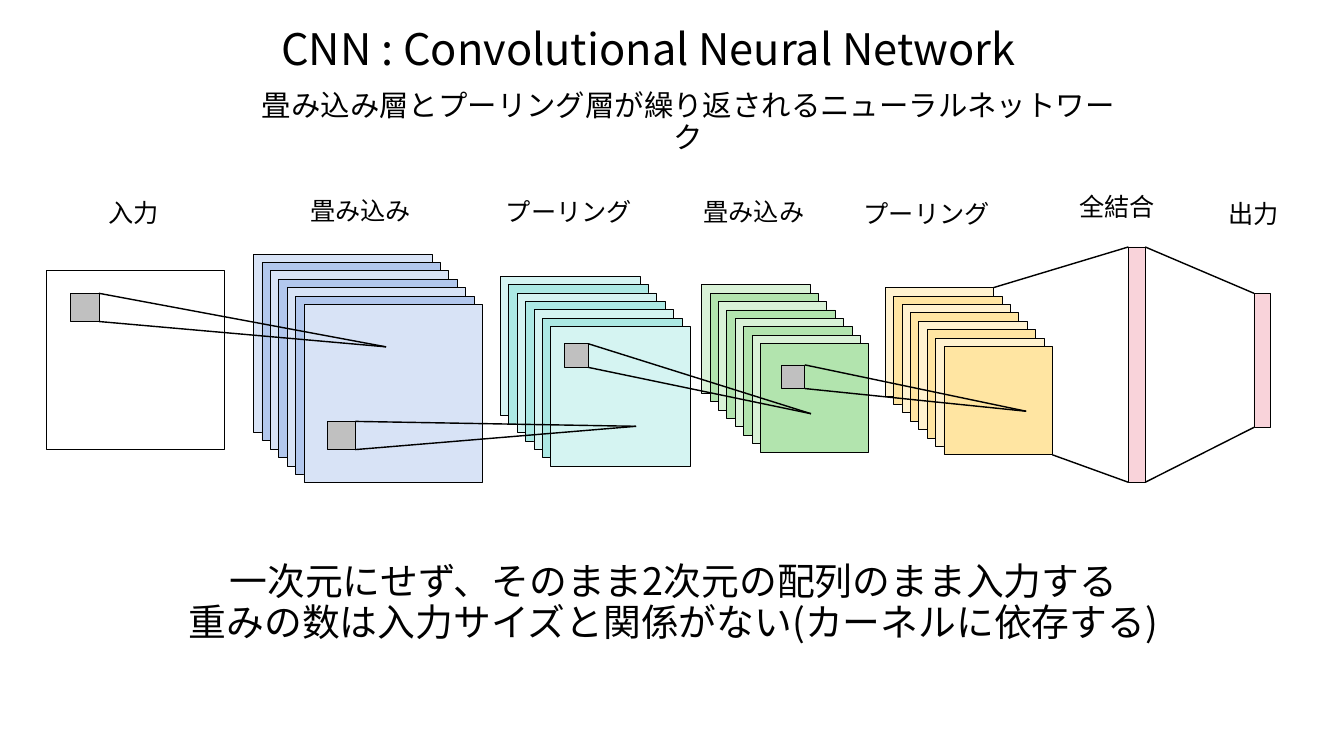
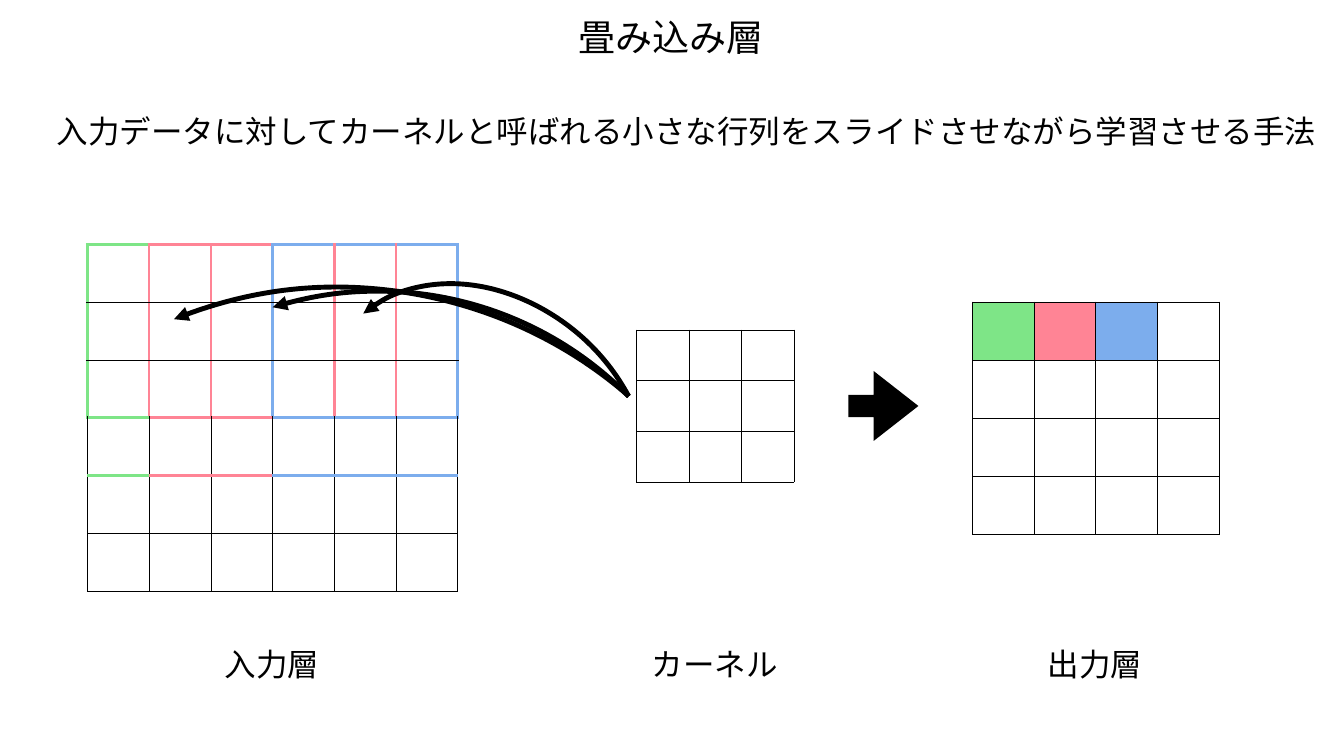
"""Two slides on convolutional neural networks: the layer diagram and the kernel."""
from dataclasses import dataclass

from lxml import etree
from pptx import Presentation
from pptx import util as u
from pptx.dml.color import RGBColor
from pptx.enum import shapes, text
from pptx.oxml.ns import qn


@dataclass(frozen=True)
class Theme:
    """Colours, font and type sizes shared by the slides."""
    font: str = "Noto Sans CJK JP"
    black: str = "000000"
    white: str = "FFFFFF"
    patch: str = "C0C0C0"
    dense: str = "F9D3DA"
    green: str = "7EE587"
    red: str = "FF8495"
    blue: str = "7CADED"
    sheet_blue: tuple = ("D8E3F6", "B2C7ED")
    sheet_teal: tuple = ("D5F4F2", "ACE9E4")
    sheet_green: tuple = ("D9F2D7", "B2E4AE")
    sheet_yellow: tuple = ("FFF2D0", "FFE5A2")
    title: int = 62
    layer_title: int = 53
    lead: int = 42
    layer_lead: int = 45
    label: int = 36
    note: int = 54
    caption: int = 45


@dataclass(frozen=True)
class Box:
    """A rectangle in points."""
    left: float
    top: float
    width: float
    height: float

    def inside(self, left, top, width, height):
        """Return a box placed relative to this one."""
        return Box(self.left + left, self.top + top, width, height)

    def point(self, x, y):
        """Return the slide position of a point relative to this box."""
        return self.left + x, self.top + y

    def corner(self, right, bottom):
        """Return the corner chosen by two flags of 0 or 1."""
        return self.left + right * self.width, self.top + bottom * self.height

    def lengths(self):
        """Return left, top, width and height as lengths."""
        return [u.Pt(value) for value in (self.left, self.top, self.width, self.height)]


THEME = Theme()
CENTER, LEFT = text.PP_ALIGN.CENTER, text.PP_ALIGN.LEFT


def write(shape, lines, size, align=CENTER):
    """Fill a text shape with plain paragraphs in the shared style."""
    frame = shape.text_frame
    frame.text = "\n".join(lines)
    frame.word_wrap = True
    frame.vertical_anchor = text.MSO_ANCHOR.MIDDLE
    frame.auto_size = text.MSO_AUTO_SIZE.SHAPE_TO_FIT_TEXT
    frame.margin_left = frame.margin_right = u.Pt(4)
    frame.margin_top = frame.margin_bottom = u.Pt(4)
    for paragraph in frame.paragraphs:
        paragraph.alignment = align
        paragraph.line_spacing = 0.9
        paragraph.space_before = u.Pt(0)
        paragraph.font.name = THEME.font
        paragraph.font.size = u.Pt(size)
        paragraph.font.color.rgb = RGBColor.from_string(THEME.black)
        properties = paragraph._p.get_or_add_pPr()
        east_asian = etree.SubElement(properties.find(qn("a:defRPr")), qn("a:ea"))
        east_asian.set("typeface", THEME.font)


def add_text(slide, box, lines, size, align=CENTER):
    """Add a text box."""
    write(slide.shapes.add_textbox(*box.lengths()), lines, size, align)


def fill_placeholder(shape, box, line, size, align=CENTER):
    """Move a placeholder and write one unbulleted line in it."""
    shape.left, shape.top, shape.width, shape.height = box.lengths()
    write(shape, [line], size, align)
    properties = shape.text_frame.paragraphs[0]._p.get_or_add_pPr()
    properties.set("marL", "0")
    properties.set("indent", "0")
    bullet = etree.Element(qn("a:buNone"))
    properties.find(qn("a:defRPr")).addprevious(bullet)


def add_shape(slide, box, fill, kind=shapes.MSO_SHAPE.RECTANGLE, outlined=True):
    """Add a filled preset shape."""
    shape = slide.shapes.add_shape(kind, *box.lengths())
    shape.shadow.inherit = False
    shape.fill.solid()
    shape.fill.fore_color.rgb = RGBColor.from_string(fill)
    if outlined:
        shape.line.color.rgb = RGBColor.from_string(THEME.black)
        shape.line.width = u.Pt(1)
    else:
        shape.line.fill.background()
    return shape


def add_line(slide, start, end):
    """Add a straight black line between two points."""
    ends = [u.Pt(value) for value in (*start, *end)]
    line = slide.shapes.add_connector(shapes.MSO_CONNECTOR.STRAIGHT, *ends)
    line.line.color.rgb = RGBColor.from_string(THEME.black)
    line.line.width = u.Pt(2)
    etree.SubElement(line._element.spPr, qn("a:effectLst"))


def add_stack(slide, box, count, colours, step=12):
    """Add overlapping feature maps and return the back and front boxes."""
    sheets = [box.inside(step * i, step * i, box.width, box.height) for i in range(count)]
    for i, sheet in enumerate(sheets):
        add_shape(slide, sheet, colours[i % 2])
    return sheets[0], sheets[-1]


def add_network(slide, box):
    """Draw the layers, receptive fields and layer labels."""
    add_shape(slide, box.inside(5.8, 116.6, 255, 255), THEME.white)
    stacks = [
        (302.3, 92.9, 254.9, 7, THEME.sheet_blue),
        (654.8, 124.6, 199.4, 7, THEME.sheet_teal),
        (942.3, 136.8, 154.8, 8, THEME.sheet_green),
        (1204.5, 140.9, 154.8, 8, THEME.sheet_yellow),
    ]
    for left, top, side, count, colours in stacks:
        back, front = add_stack(slide, box.inside(left, top, side, side), count, colours)

    dense = box.inside(1552, 82.8, 24, 336.2)
    output = box.inside(1731.4, 149, 24, 191.5)
    for layer in (dense, output):
        add_shape(slide, layer, THEME.dense)

    fields = [
        (41, 149, 40.3, 491.5, 225.5),
        (407.3, 332, 40.3, 848.6, 339),
        (746.4, 221, 33.8, 1098.5, 321),
        (1056, 251.3, 33.8, 1405.9, 317.5),
    ]
    for left, top, side, target_x, target_y in fields:
        patch = box.inside(left, top, side, side)
        add_shape(slide, patch, THEME.patch)
        for bottom in (0, 1):
            add_line(slide, patch.corner(1, bottom), box.point(target_x, target_y))

    for bottom, sheet in enumerate((back, front)):
        add_line(slide, sheet.corner(1, bottom), dense.corner(0, bottom))
        add_line(slide, dense.corner(1, bottom), output.corner(0, bottom))

    labels = [
        ("入力", 60, 13, 141),
        ("畳み込み", 350.4, 9.4, 210),
        ("プーリング", 647.8, 11.5, 210),
        ("畳み込み", 912, 10.8, 210),
        ("プーリング", 1159, 14.4, 210),
        ("全結合", 1431, 3.6, 210),
        ("出力", 1626.2, 14.4, 210),
    ]
    for label, left, top, width in labels:
        add_text(slide, box.inside(left, top, width, 47.5), [label], THEME.label)


def set_borders(cell, borders):
    """Draw the left, right, top and bottom borders of a cell."""
    properties = cell._tc.get_or_add_tcPr()
    for side, (colour, width) in zip("LRTB", borders):
        line = etree.SubElement(properties, qn(f"a:ln{side}"), w=str(u.Pt(width)))
        fill = etree.SubElement(line, qn("a:solidFill"))
        etree.SubElement(fill, qn("a:srgbClr"), val=colour)


def add_grid(slide, box, count, borders_at, fills=()):
    """Add a square table whose first cells may be filled."""
    table = slide.shapes.add_table(count, count, *box.lengths()).table
    table.first_row = table.horz_banding = False
    for column in table.columns:
        column.width = u.Pt(box.width / count)
    for row in table.rows:
        row.height = u.Pt(box.height / count)
    for i, cell in enumerate(table.iter_cells()):
        set_borders(cell, borders_at(*divmod(i, count)))
        if i < len(fills):
            cell.fill.solid()
            cell.fill.fore_color.rgb = RGBColor.from_string(fills[i])
        else:
            cell.fill.background()


def plain_borders(row, column):
    """Return thin black borders for any cell."""
    return [(THEME.black, 1)] * 4


def window_borders(row, column):
    """Return borders that mark the kernel windows on the input grid."""
    thin = (THEME.black, 1)
    green, red, blue = ((colour, 5) for colour in (THEME.green, THEME.red, THEME.blue))
    inner = (THEME.red, 4)
    upright = (green, inner, inner, blue, inner, inner, blue)
    level = (green, red, red, blue, blue, blue)[column]
    left, right = upright[column:column + 2] if row < 3 else (thin, thin)
    top, bottom = (level if edge in (0, 3, 4) else thin for edge in (row, row + 1))
    return [left, right, top, bottom]


def add_curve(slide, box, controls):
    """Draw a thick curved arrow through chained cubic curves."""
    start, *others = [tuple(u.Pt(value) for value in box.point(*point)) for point in controls]
    builder = slide.shapes.build_freeform(*start)
    builder.add_line_segments(others, close=False)
    curve = builder.convert_to_shape()
    segments = list(curve._element.iter(qn("a:lnTo")))
    for i in range(0, len(segments), 3):
        cubic = etree.Element(qn("a:cubicBezTo"))
        segments[i].addprevious(cubic)
        for segment in segments[i:i + 3]:
            cubic.append(segment[0])
            segment.getparent().remove(segment)
    curve.shadow.inherit = False
    curve.fill.background()
    curve.line.color.rgb = RGBColor.from_string(THEME.black)
    curve.line.width = u.Pt(7)
    etree.SubElement(curve.line._get_or_add_ln(), qn("a:tailEnd"), type="triangle")


def add_convolution(slide, box):
    """Draw the input, kernel and output grids with arrows and captions."""
    fills = (THEME.green, THEME.red, THEME.blue)
    grids = [
        ("入力層", 145, 6, box.inside(4.8, -0.4, 529.2, 495), window_borders, ()),
        ("カーネル", 190, 3, box.inside(789, 121.4, 225.6, 217.5), plain_borders, ()),
        ("出力層", 145, 4, box.inside(1269, 81.2, 352.8, 332), plain_borders, fills),
    ]
    for caption, width, count, grid, borders_at, colours in grids:
        add_grid(slide, grid, count, borders_at, colours)
        left = grid.left - box.left + (grid.width - width) / 2
        add_text(slide, box.inside(left, 574, width, 57), [caption], THEME.caption, LEFT)

    arrow = add_shape(slide, box.inside(1092, 180, 100, 100), THEME.black,
                      shapes.MSO_SHAPE.RIGHT_ARROW, outlined=False)
    arrow.adjustments[0], arrow.adjustments[1] = 0.32, 0.64

    curves = [
        [(778, 216), (691, 128), (576, 75.5), (453, 67),
         (391, 63.5), (329, 70.5), (269.5, 89)],
        [(778.5, 216), (687, 136), (574, 85), (454, 67),
         (343.5, 51), (232, 64.5), (128.5, 106)],
        [(778, 216), (747, 158), (700, 114.5), (646, 86.5), (588.5, 57),
         (519.5, 44), (453, 67), (433.5, 74), (415.5, 85), (399, 98)],
    ]
    for controls in curves:
        add_curve(slide, box, controls)


def add_network_slide(presentation):
    """Add the slide that shows the whole network."""
    slide = presentation.slides.add_slide(presentation.slide_layouts[1])
    fill_placeholder(slide.shapes.title, Box(364, 36, 1125, 76),
                     "CNN : Convolutional Neural Network", THEME.title)
    fill_placeholder(slide.placeholders[1], Box(350, 150.5, 1266, 50),
                     "畳み込み層とプーリング層が繰り返されるニューラルネットワーク", THEME.lead)
    add_network(slide, Box(60, 270, 1800, 430))
    add_text(slide, Box(256.5, 799, 1411, 126),
             ["一次元にせず、そのまま2次元の配列のまま入力する",
              "重みの数は入力サイズと関係がない(カーネルに依存する)"], THEME.note)


def add_convolution_slide(presentation):
    """Add the slide that explains the convolution layer."""
    slide = presentation.slides.add_slide(presentation.slide_layouts[1])
    fill_placeholder(slide.shapes.title, Box(821, 24, 276, 66), "畳み込み層", THEME.layer_title)
    fill_placeholder(slide.placeholders[1], Box(77, 161.4, 1826, 57),
                     "入力データに対してカーネルと呼ばれる小さな行列をスライドさせながら学習させる手法",
                     THEME.layer_lead, LEFT)
    add_convolution(slide, Box(120, 350, 1640, 640))


def main():
    """Build and save the presentation."""
    presentation = Presentation()
    presentation.slide_width, presentation.slide_height = u.Pt(1920), u.Pt(1080)
    add_network_slide(presentation)
    add_convolution_slide(presentation)
    presentation.save("out.pptx")


if __name__ == "__main__":
    main()
